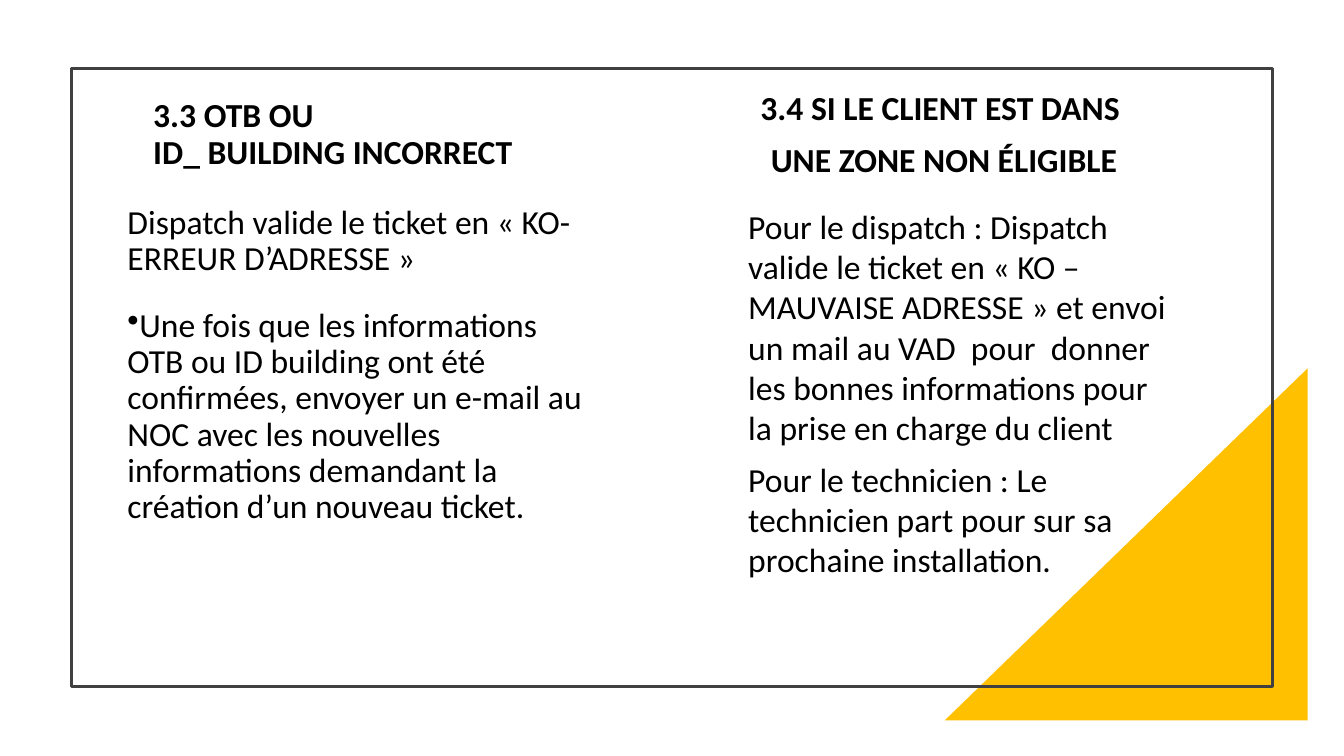
"""Build a slide that sets out two ticket cases side by side."""
import pptx
import pptx.util
import pptx.dml.color
import pptx.enum.shapes
import pptx.enum.text
import pptx.oxml.ns
import lxml.etree

Pt = pptx.util.Pt
RGB = pptx.dml.color.RGBColor.from_string
Align = pptx.enum.text.PP_ALIGN
Anchor = pptx.enum.text.MSO_ANCHOR
Fit = pptx.enum.text.MSO_AUTO_SIZE
Kind = pptx.enum.shapes.MSO_SHAPE

THEME = {"font": "Calibri", "size": 18, "ink": "000000",
         "gold": "FFC000", "frame": "404040", "line": 1.5}

PAGE = (720, 405)
TITLE = {
    "at": (74.9, 49, 221.8, 66.2), "bold": True, "ratio": 0.9,
    "paras": [["3.3 OTB OU", "ID_ BUILDING INCORRECT"]],
}
BOXES = [
    {"at": (61.2, 106.6, 265, 231.8), "ratio": 0.9, "before": 10, "after": 6,
     "bullets": {1},
     "paras": [
         ["Dispatch valide le ticket en « KO-ERREUR D’ADRESSE »"],
         ["Une fois que les informations OTB ou ID building ont été "
          "confirmées, envoyer un e-mail au NOC avec les nouvelles "
          "informations demandant la création d’un nouveau ticket."]]},
    {"at": (393.8, 106.6, 241.9, 209.5), "after": 6, "fit": Fit.SHAPE_TO_FIT_TEXT,
     "paras": [
         ["Pour le dispatch : Dispatch valide le ticket en « KO –MAUVAISE "
          "ADRESSE » et envoi un mail au VAD  pour  donner les bonnes "
          "informations pour la prise en charge du client"],
         ["Pour le technicien : Le technicien part pour sur sa prochaine "
          "installation."]]},
    {"at": (365, 43.2, 281.5, 56.9), "after": 6, "fit": Fit.SHAPE_TO_FIT_TEXT,
     "bold": True, "align": Align.CENTER,
     "paras": [["3.4 SI LE CLIENT EST DANS "], ["UNE ZONE NON ÉLIGIBLE"]]},
]


def place(at):
    return [Pt(v) for v in at]


def mark(para):
    props = para._p.get_or_add_pPr()
    props.set("marL", "0")
    props.set("indent", str(-Pt(18)))
    node = lxml.etree.SubElement(props, pptx.oxml.ns.qn("a:buChar"))
    node.set("char", "•")


def write(frame, data):
    frame.word_wrap = True
    frame.auto_size = data.get("fit", Fit.NONE)
    for i, lines in enumerate(data["paras"]):
        para = frame.paragraphs[0] if i == 0 else frame.add_paragraph()
        para.alignment = data.get("align", Align.LEFT)
        para.line_spacing = data.get("ratio", 1.0)
        para.space_before = Pt(data.get("before", 0) if i else 0)
        para.space_after = Pt(data.get("after", 0))
        if i in data.get("bullets", ()):
            mark(para)
        for j, text in enumerate(lines):
            if j:
                para.add_line_break()
            run = para.add_run()
            run.text = text
            run.font.name = THEME["font"]
            run.font.size = Pt(THEME["size"])
            run.font.bold = data.get("bold", False)
            run.font.color.rgb = RGB(THEME["ink"])


def draw(slide):
    shapes = slide.shapes
    wedge = shapes.add_shape(Kind.RIGHT_TRIANGLE, *place((506.2, 197.3, 194.4, 188.6)))
    wedge.shadow.inherit = False
    wedge.fill.solid()
    wedge.fill.fore_color.rgb = RGB(THEME["gold"])
    wedge.line.fill.background()
    wedge._element.spPr.xfrm.set("flipH", "1")

    border = shapes.add_shape(Kind.RECTANGLE, *place((38.2, 36.7, 643.7, 331.2)))
    border.shadow.inherit = False
    border.fill.background()
    border.line.color.rgb = RGB(THEME["frame"])
    border.line.width = Pt(THEME["line"])

    title = shapes.title
    title.left, title.top, title.width, title.height = place(TITLE["at"])
    frame = title.text_frame
    frame.vertical_anchor = Anchor.MIDDLE
    frame.margin_bottom = Pt(23)
    write(frame, TITLE)

    for data in BOXES:
        write(shapes.add_textbox(*place(data["at"])).text_frame, data)


def main():
    deck = pptx.Presentation()
    deck.slide_width, deck.slide_height = place(PAGE)
    draw(deck.slides.add_slide(deck.slide_layouts[5]))
    deck.save("out.pptx")


if __name__ == "__main__":
    main()
